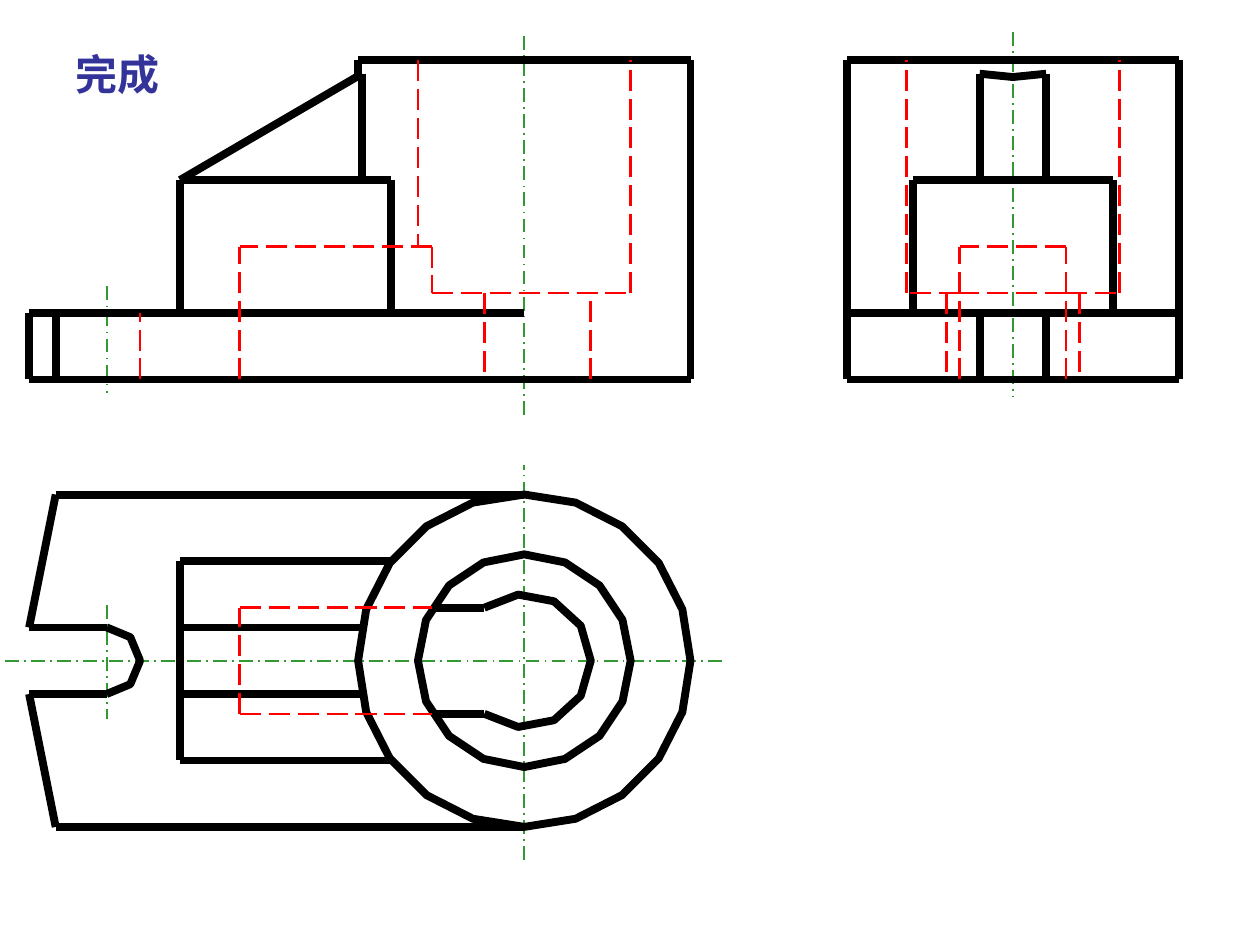
from math import cos, radians, sin
from typing import NamedTuple

from lxml.etree import SubElement
from pptx import Presentation
from pptx.dml.color import RGBColor
from pptx.enum.dml import MSO_LINE
from pptx.enum.text import MSO_ANCHOR, MSO_AUTO_SIZE, PP_ALIGN
from pptx.oxml.ns import qn
from pptx.util import Cm, Pt

BLACK = RGBColor(0x00, 0x00, 0x00)
RED = RGBColor(0xFF, 0x00, 0x00)
GREEN = RGBColor(0x33, 0x99, 0x33)
INDIGO = RGBColor(0x33, 0x33, 0x99)

MILLIMETRE = Cm(1.34) / 10

AXIS = (GREEN, {"width": Pt(1), "dash_style": MSO_LINE.LONG_DASH_DOT})
VISIBLE = (BLACK, {"width": Pt(4.5)})
HIDDEN = (RED, {"width": Pt(1.5), "dash_style": MSO_LINE.LONG_DASH})


class View(NamedTuple):
    """Projection origin on the slide and its mirror signs."""

    left: int
    top: int
    across: int = 1
    up: int = 1

    def place(self, point):
        """Turn part millimetres into slide lengths."""
        x, y = point
        return (round(self.left + self.across * x * MILLIMETRE),
                round(self.top - self.up * y * MILLIMETRE))


FRONT = View(Cm(10.57), Cm(7.65))
PLAN = View(Cm(10.57), Cm(13.32))
SIDE = View(Cm(20.42), Cm(7.65))
PLAN_HALVES = (PLAN, PLAN._replace(up=-1))
SIDE_HALVES = (SIDE, SIDE._replace(across=-1))

TIP, SHOULDER, SLOT = -74.5, -70.5, -62.8
SLOT_END, BLOCK, TUNNEL = -57.8, -51.8, -42.8
RIB, TUNNEL_MOUTH = -24.4, -13.9

AXIS_LINES = [
    ((PLAN,), [(0, -30, 0, 29.5), (29.7, 0, -78.9, 0), (SLOT, 8.4, SLOT, -8.8)]),
    ((SIDE,), [(0, 52.3, 0, -2.7)]),
    ((FRONT,), [(0, -5.3, 0, 52.3), (SLOT, 14, SLOT, -2.1)]),
]

VISIBLE_LINES = [
    (PLAN_HALVES, [
        (SHOULDER, 25, 0, 25), (SHOULDER, 25, TIP, 5), (TIP, 5, SLOT, 5),
        (BLOCK, 15, -20, 15), (BLOCK, 5, BLOCK, 15), (BLOCK, 5, RIB, 5),
        (TUNNEL_MOUTH, 8, -6, 8)]),
    ((PLAN,), [(BLOCK, -5, BLOCK, 5)]),
    (SIDE_HALVES, [
        (5, 30, 15, 30), (15, 10, 15, 30), (5, 10, 25, 10), (25, 10, 25, 0),
        (25, 0, 5, 0), (5, 10, 5, 0), (5, 46, 5, 30), (25, 10, 25, 48)]),
    ((SIDE,), [(5, 0, -5, 0), (-5, 10, 5, 10), (5, 30, -5, 30), (-25, 48, 25, 48)]),
    ((FRONT,), [
        (-25, 48, 25, 48), (SHOULDER, 0, 0, 0), (0, 10, SHOULDER, 10),
        (SHOULDER, 0, TIP, 0), (TIP, 10, SHOULDER, 10), (TIP, 10, TIP, 0),
        (SHOULDER, 10, SHOULDER, 0), (BLOCK, 30, RIB, 46), (-20, 30, BLOCK, 30),
        (BLOCK, 10, BLOCK, 30), (-20, 30, -20, 10), (RIB, 46, RIB, 30),
        (-25, 48, -25, 45.5), (25, 0, 25, 48), (25, 0, 0, 0)]),
]

HIDDEN_LINES = [
    (PLAN_HALVES, [(TUNNEL, 8, TUNNEL_MOUTH, 8)]),
    ((PLAN,), [(TUNNEL, -8, TUNNEL, 8)]),
    (SIDE_HALVES, [(8, 0, 8, 20), (8, 13, 16, 13), (16, 13, 16, 48), (10, 13, 10, 0)]),
    ((SIDE,), [(8, 20, -8, 20), (8, 13, -8, 13)]),
    ((FRONT,), [
        (TUNNEL_MOUTH, 13, 16, 13), (TUNNEL_MOUTH, 20, TUNNEL, 20),
        (TUNNEL, 0, TUNNEL, 20), (SLOT_END, 0, SLOT_END, 10), (-6, 13, -6, 0),
        (-16, 48, -16, 20), (TUNNEL_MOUTH, 20, TUNNEL_MOUTH, 13),
        (10, 0, 10, 13), (16, 13, 16, 48)]),
]


def arc(centre, radius, sweep, segments):
    """Return points of an arc that spreads evenly about the x axis."""
    angles = [radians(sweep * (step / segments - 0.5)) for step in range(segments + 1)]
    return [(centre + radius * cos(angle), radius * sin(angle)) for angle in angles]


def apply(target, values):
    """Set every attribute named in a dict."""
    for name, value in values.items():
        setattr(target, name, value)


def stroke(line, style):
    """Give a line its colour, width and dash."""
    colour, values = style
    line.color.rgb = colour
    apply(line, values)


def draw_edge(group, view, edge, style):
    """Draw one straight edge of a view."""
    start, end = view.place(edge[:2]), view.place(edge[2:])
    connector = group.shapes.add_connector(1, *start, *end)
    SubElement(connector._element.spPr, qn("a:effectLst"))
    stroke(connector.line, style)
    fix_effect_order(connector._element.spPr)


def fix_effect_order(properties):
    """Keep the effect list behind the line element."""
    properties.append(properties.find(qn("a:effectLst")))


def draw_edges(group, view_edges, style):
    """Draw all straight edges, once for each view or mirrored half."""
    for views, edges in view_edges:
        for view in views:
            for edge in edges:
                draw_edge(group, view, edge, style)


def draw_contour(group, view, points, style, close=False):
    """Draw one many-cornered contour of a view."""
    start, *rest = [view.place(point) for point in points]
    builder = group.shapes.build_freeform(*start)
    builder.add_line_segments(rest, close=close)
    contour = builder.convert_to_shape()
    contour.shadow.inherit = False
    contour.fill.background()
    stroke(contour.line, style)


def write_title(title, text):
    """Place and format the title."""
    apply(title, {"left": Cm(1.27), "top": Cm(0.84), "width": Cm(5.72), "height": Cm(1.27)})
    frame = title.text_frame
    frame.text = text
    apply(frame, {
        "word_wrap": True, "auto_size": MSO_AUTO_SIZE.NONE,
        "vertical_anchor": MSO_ANCHOR.TOP,
        "margin_left": Cm(0.25), "margin_right": Cm(0.25),
        "margin_top": Cm(0.13), "margin_bottom": Cm(0.13)})
    paragraph = frame.paragraphs[0]
    apply(paragraph, {"alignment": PP_ALIGN.LEFT, "space_before": Pt(0)})
    font = paragraph.runs[0].font
    apply(font, {"name": "Times New Roman", "size": Pt(24), "bold": True})
    font.color.rgb = INDIGO


def main():
    """Build the three-view drawing."""
    deck = Presentation()
    apply(deck, {"slide_width": Cm(25.4), "slide_height": Cm(19.05)})
    slide = deck.slides.add_slide(deck.slide_layouts[5])

    axes = slide.shapes.add_group_shape()
    draw_edges(axes, AXIS_LINES, AXIS)

    part = slide.shapes.add_group_shape()
    draw_edges(part, VISIBLE_LINES, VISIBLE)
    draw_contour(part, PLAN, arc(SLOT, 5, 180, 4), VISIBLE)
    draw_contour(part, PLAN, arc(0, 10, 254, 8), VISIBLE)
    for radius, segments in ((25, 20), (16, 16)):
        draw_contour(part, PLAN, arc(0, radius, 360, segments)[:-1], VISIBLE, close=True)
    draw_contour(part, SIDE, [(-5, 46), (0, 45.5), (5, 46)], VISIBLE)
    draw_edges(part, HIDDEN_LINES, HIDDEN)

    write_title(slide.shapes.title, "完成")
    deck.save("out.pptx")


if __name__ == "__main__":
    main()
